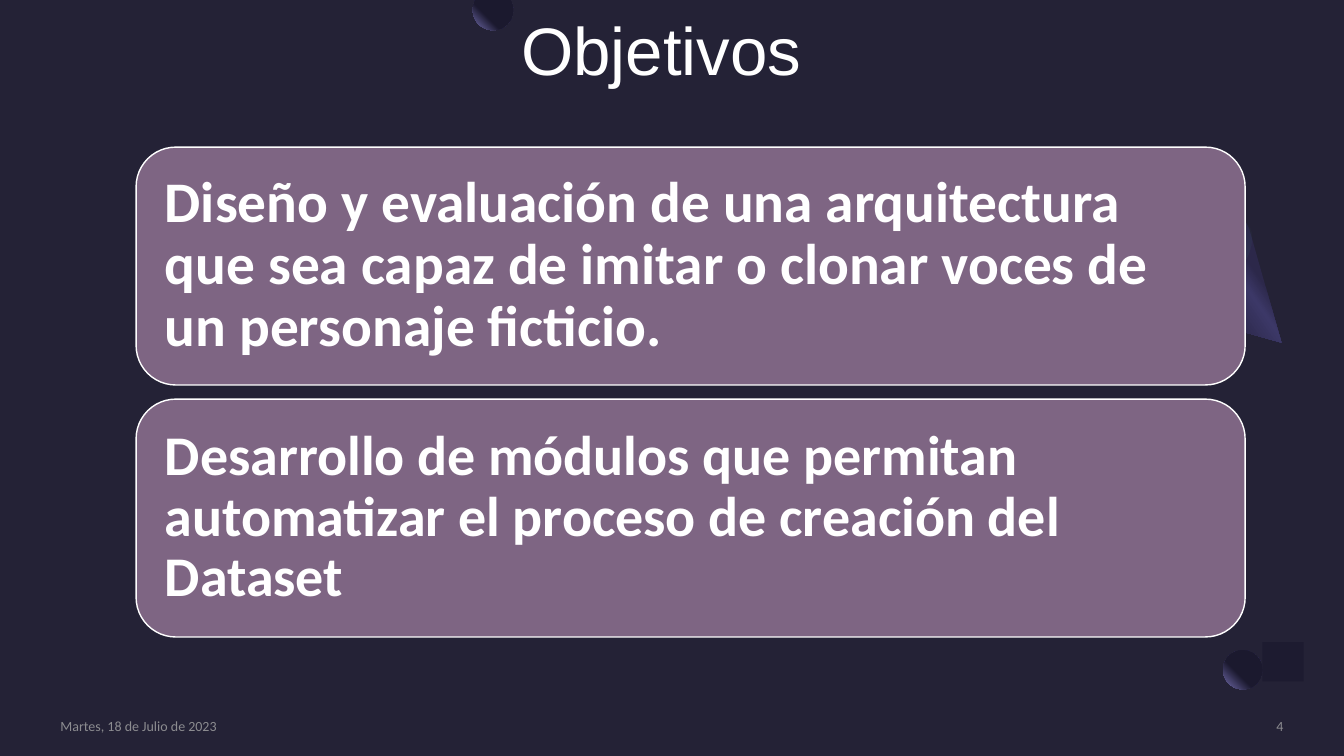
from math import cos, radians, sin

from pptx import Presentation
from pptx.dml.color import RGBColor
from pptx.enum.shapes import MSO_SHAPE as SHAPE
from pptx.enum.text import MSO_ANCHOR as ANCHOR, MSO_AUTO_SIZE as AUTO, PP_ALIGN as ALIGN
from pptx.oxml import parse_xml
from pptx.oxml.ns import nsdecls
from pptx.util import Inches, Pt

BACKGROUND = RGBColor(0x24, 0x22, 0x36)
SQUARE = RGBColor(0x1D, 0x1B, 0x30)
PLUM = RGBColor(0x7E, 0x65, 0x83)
WHITE = RGBColor(0xFF, 0xFF, 0xFF)
GREY = RGBColor(0x8C, 0x8C, 0x90)

TITLE = "Objetivos"
GOALS = [
    ("Diseño y evaluación de una arquitectura que sea capaz de imitar o clonar "
     "voces de un personaje ficticio.", 41),
    ("Desarrollo de módulos que permitan automatizar el proceso de creación del Dataset", 40),
]
FOOTERS = [
    ("Martes, 18 de Julio de 2023", (0.6, 7.12, 2.88, 0.17), ALIGN.LEFT),
    ("4", (10.88, 7.12, 1.85, 0.17), ALIGN.RIGHT),
]
GOAL_LEFT, GOAL_TOP, GOAL_WIDTH, GOAL_HEIGHT, GOAL_STEP = 1.35, 1.46, 11, 2.36, 2.5

BALL_STOPS = [(60, "1B192E", 100), (100, "7771B2", 100)]
CONE_STOPS = [(30, "2C284A", 100), (40, "3C3867", 100), (60, "2C284A", 100), (100, "1B192E", 100)]
GLOW_STOPS = [(0, "454075", 33), (100, "5BEFC1", 0)]
RADIAL = '<a:path path="circle"><a:fillToRect l="100000" b="100000"/></a:path>'
CONE = [(12.71, 3.4), (11.58, 3.08), (11.52, 3.05), (11.5, 2.87), (11.58, 2.6), (11.73, 2.42),
        (11.96, 2.25), (12.2, 2.16), (12.36, 2.21), (12.39, 2.27)]
CUT_BALL = [(4.89 + 0.2 * cos(radians(a)), 0.1 + 0.2 * sin(radians(a)))
            for a in range(-30, 211, 5)]


def linear(angle):
    """Return the XML of a linear gradient direction."""
    return f'<a:lin ang="{angle * 60000}" scaled="0"/>'


def gradient(shape, stops, direction):
    """Fill a shape with gradient stops and remove its outline."""
    marks = "".join(
        f'<a:gs pos="{pos * 1000}"><a:srgbClr val="{color}"><a:alpha val="{alpha * 1000}"/>'
        f'</a:srgbClr></a:gs>' for pos, color, alpha in stops)
    shape.line.fill.background()
    shape.fill.background()
    empty = shape._element.spPr.find(
        "{http://schemas.openxmlformats.org/drawingml/2006/main}noFill")
    empty.getparent().replace(empty, parse_xml(
        f'<a:gradFill {nsdecls("a")} rotWithShape="1"><a:gsLst>{marks}</a:gsLst>'
        f'{direction}</a:gradFill>'))


def add_shape(s, kind, box):
    """Add a preset shape without a shadow."""
    shape = s.shapes.add_shape(kind, *map(Inches, box))
    shape.shadow.inherit = False
    return shape


def add_outline(s, points):
    """Add a closed outline through points given in inches."""
    points = [(Inches(x), Inches(y)) for x, y in points]
    builder = s.shapes.build_freeform(*points[0])
    builder.add_line_segments(points[1:], close=True)
    shape = builder.convert_to_shape()
    shape.shadow.inherit = False
    return shape


def write(shape, text, align, anchor, inset=0, spacing=1.0, **font):
    """Write one formatted paragraph into a shape."""
    tf = shape.text_frame
    frame = dict.fromkeys(
        ("margin_left", "margin_right", "margin_top", "margin_bottom"), Inches(inset))
    frame.update(word_wrap=True, auto_size=AUTO.NONE, vertical_anchor=anchor)
    for name, value in frame.items():
        setattr(tf, name, value)
    p = tf.paragraphs[0]
    p.alignment, p.line_spacing = align, spacing
    r = p.add_run()
    r.text = text
    color = font.pop("color")
    for name, value in font.items():
        setattr(r.font, name, value)
    r.font.color.rgb = color


def main():
    """Build the objectives slide."""
    prs = Presentation()
    prs.slide_width, prs.slide_height = Inches(13.33), Inches(7.5)
    s = prs.slides.add_slide(prs.slide_layouts[5])
    s.background.fill.solid()
    s.background.fill.fore_color.rgb = BACKGROUND

    gradient(add_shape(s, SHAPE.OVAL, (12.13, 6.45, 0.39, 0.39)), BALL_STOPS, RADIAL)
    square = add_shape(s, SHAPE.RECTANGLE, (12.52, 6.37, 0.41, 0.39))
    square.fill.solid()
    square.fill.fore_color.rgb = SQUARE
    square.line.fill.background()
    gradient(add_outline(s, CONE), CONE_STOPS, linear(145))
    glow = add_shape(s, SHAPE.OVAL, (11.65, 2.04, 0.59, 1.18))
    glow.rotation = 225
    gradient(glow, GLOW_STOPS, linear(90))
    gradient(add_outline(s, CUT_BALL), BALL_STOPS, RADIAL)

    for i, (text, size) in enumerate(GOALS):
        goal = add_shape(s, SHAPE.ROUNDED_RECTANGLE,
                         (GOAL_LEFT, GOAL_TOP + i * GOAL_STEP, GOAL_WIDTH, GOAL_HEIGHT))
        goal.fill.solid()
        goal.fill.fore_color.rgb = PLUM
        goal.line.color.rgb = WHITE
        goal.line.width = Pt(1)
        write(goal, text, ALIGN.LEFT, ANCHOR.MIDDLE, 0.17, 0.9,
              name="Calibri", size=Pt(size), bold=True, color=WHITE)

    for text, box, align in FOOTERS:
        write(s.shapes.add_textbox(*map(Inches, box)), text, align, ANCHOR.MIDDLE,
              name="Calibri", size=Pt(10), color=GREY)

    title = s.shapes.title
    title.left, title.top, title.width, title.height = map(Inches, (0.49, 0.17, 12.14, 1.46))
    write(title, TITLE, ALIGN.CENTER, ANCHOR.TOP, spacing=0.9,
          name="Arial", size=Pt(48), color=WHITE)
    prs.save("out.pptx")


if __name__ == "__main__":
    main()
